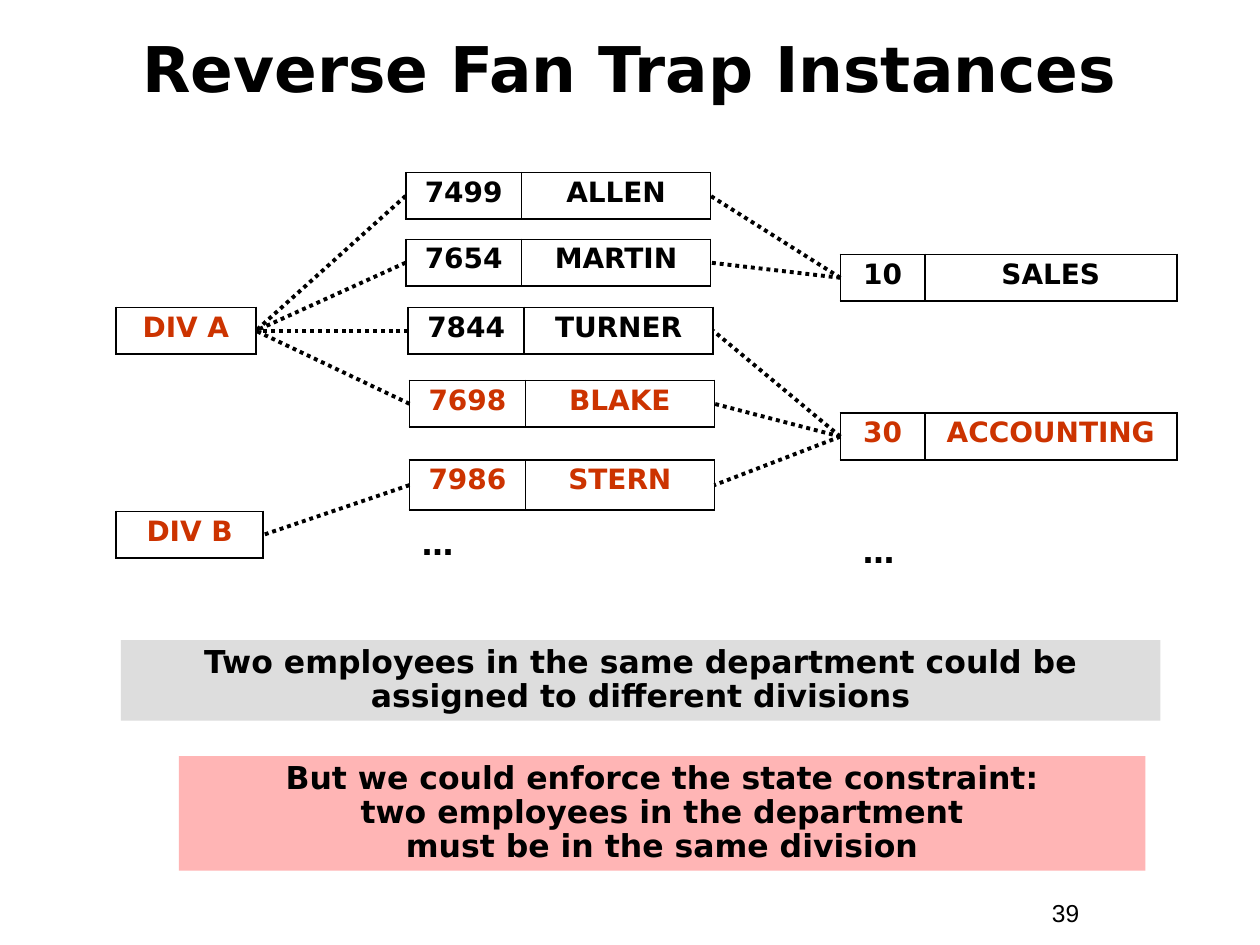
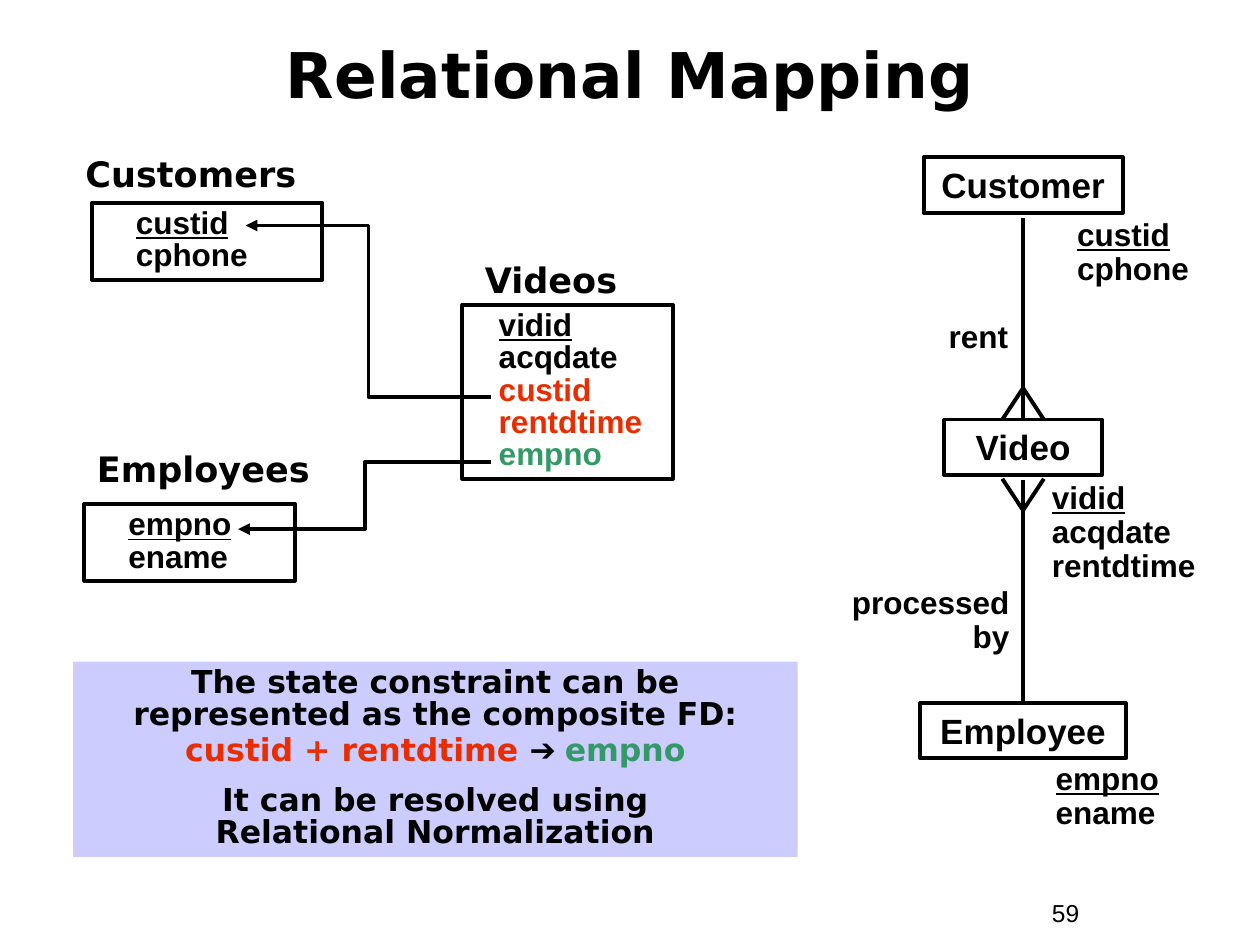
from lxml import etree
from pptx import Presentation
from pptx.dml.color import RGBColor
from pptx.enum import dml, shapes, text
from pptx.oxml.ns import qn
from pptx.util import Inches, Pt

COLORS = {
    "ink": "000000", "brick": "CC3300", "red": "EA2D00", "green": "339966",
    "gray": "DDDDDD", "pink": "FFB5B5", "lilac": "CCCCFF",
}
SANS, ARIAL = "DejaVu Sans", "Arial"
LEFT, CENTER, RIGHT = text.PP_ALIGN.LEFT, text.PP_ALIGN.CENTER, text.PP_ALIGN.RIGHT
LINE = 2.25
ROW_H = 0.37


def rgb(name):
    return RGBColor.from_string(COLORS[name])


def run(string, color="ink", font=None, underline=False):
    return string, color, font, underline


def add_runs(p, runs, size, font, bold):
    for string, color, own_font, underline in runs:
        for i, line in enumerate(string.split("\n")):
            if i:
                p.add_line_break()
            r = p.add_run()
            r.text = line
            r.font.size, r.font.bold = Pt(size), bold
            r.font.name = own_font or font
            r.font.color.rgb = rgb(color)
            r.font.underline = underline


def write(tf, paragraphs, size=18, font=SANS, bold=True, align=LEFT,
          spacing=0.9, gaps=(), indent=0):
    """Fill a frame; gaps holds the space before each paragraph after the first."""
    tf.word_wrap = True
    for i, runs in enumerate(paragraphs):
        p = tf.paragraphs[0] if i == 0 else tf.add_paragraph()
        if indent:
            p._p.get_or_add_pPr().set("marL", str(Inches(indent)))
        p.alignment, p.line_spacing = align, spacing
        if i and gaps:
            p.space_before = Pt(gaps[i - 1])
        add_runs(p, runs, size, font, bold)


def add_label(slide, box, paragraphs, anchor=text.MSO_ANCHOR.TOP, **style):
    sp = slide.shapes.add_textbox(*map(Inches, box))
    sp.text_frame.vertical_anchor = anchor
    write(sp.text_frame, paragraphs, **style)


def add_box(slide, box, paragraphs, fill=None, **style):
    """Filled band when a fill is given, outlined box otherwise."""
    sp = slide.shapes.add_shape(shapes.MSO_SHAPE.RECTANGLE, *map(Inches, box))
    sp.shadow.inherit = False
    if fill:
        sp.fill.solid()
        sp.fill.fore_color.rgb = rgb(fill)
        sp.line.fill.background()
    else:
        sp.fill.background()
        sp.line.color.rgb = rgb("ink")
        sp.line.width = Pt(LINE)
    sp.text_frame.vertical_anchor = text.MSO_ANCHOR.TOP
    write(sp.text_frame, paragraphs, **style)


def add_line(slide, start, end, elbow=False, dotted=False, arrow=False):
    kind = shapes.MSO_CONNECTOR.ELBOW if elbow else shapes.MSO_CONNECTOR.STRAIGHT
    cx = slide.shapes.add_connector(kind, *map(Inches, (*start, *end)))
    cx.line.color.rgb = rgb("ink")
    cx.line.width = Pt(LINE)
    if dotted:
        cx.line.dash_style = dml.MSO_LINE.ROUND_DOT
    if arrow:
        etree.SubElement(cx.line._get_or_add_ln(), qn("a:tailEnd"), type="triangle")
    etree.SubElement(cx._element.spPr, qn("a:effectLst"))


def add_borders(cell):
    tc_pr = cell._tc.get_or_add_tcPr()
    for i, side in enumerate(("lnL", "lnR", "lnT", "lnB")):
        ln = etree.Element(qn(f"a:{side}"), w=str(Pt(1.08)))
        fill = etree.SubElement(ln, qn("a:solidFill"))
        etree.SubElement(fill, qn("a:srgbClr"), val=COLORS["ink"])
        tc_pr.insert(i, ln)


def add_record(slide, x, y, widths, values, color, height=ROW_H):
    """Draw a one-row table and return the middles of its left and right edges."""
    frame = slide.shapes.add_table(1, len(values), *map(Inches, (x, y, sum(widths), height)))
    table = frame.table
    table.first_row = table.horz_banding = False
    table.rows[0].height = Inches(height)
    for i, (width, value) in enumerate(zip(widths, values)):
        table.columns[i].width = Inches(width)
        cell = table.cell(0, i)
        cell.fill.background()
        add_borders(cell)
        write(cell.text_frame, [[run(value, color)]], size=16, align=CENTER)
    middle = y + height / 2
    return (x, middle), (x + sum(widths), middle)


def new_slide(prs, title, title_box, number):
    slide = prs.slides.add_slide(prs.slide_layouts[6])
    add_label(slide, (8.25, 7.08, 0.92, 0.34), [[run(number)]],
              size=14, font=ARIAL, bold=False, spacing=1)
    add_label(slide, title_box, [[run(title)]], anchor=text.MSO_ANCHOR.MIDDLE,
              size=36, align=CENTER, spacing=0.85)
    return slide


def instance_diagram(slide, x, y):
    """Divisions, employees and departments with their dotted links."""
    divisions = {
        name: add_record(slide, x, y + dy, [width], [name], "brick")[1]
        for name, dy, width in (("DIV A", 1.07, 1.11), ("DIV B", 2.69, 1.17))
    }
    departments = {
        number: add_record(slide, x + 5.75, y + dy, [0.67, 2], [number, name], color)[0]
        for number, name, dy, color in (("10", "SALES", 0.65, "ink"),
                                        ("30", "ACCOUNTING", 1.91, "brick"))
    }
    employees = (
        ("7499", "ALLEN", 2.3, 0, ROW_H, "ink", "DIV A", "10"),
        ("7654", "MARTIN", 2.3, 0.53, ROW_H, "ink", "DIV A", "10"),
        ("7844", "TURNER", 2.32, 1.07, ROW_H, "ink", "DIV A", "30"),
        ("7698", "BLAKE", 2.33, 1.65, ROW_H, "brick", "DIV A", "30"),
        ("7986", "STERN", 2.33, 2.28, 0.4, "brick", "DIV B", "30"),
    )
    for number, name, dx, dy, height, color, division, department in employees:
        left, right = add_record(slide, x + dx, y + dy, [0.92, 1.5],
                                 [number, name], color, height)
        add_line(slide, left, divisions[division], dotted=True)
        add_line(slide, departments[department], right, dotted=True)
    for dx, dy in ((2.33, 2.77), (5.83, 2.84)):
        add_label(slide, (x + dx, y + dy, 1.83, 0.37), [[run("…")]])


def fan_trap_slide(prs):
    slide = new_slide(prs, "Reverse Fan Trap Instances", (0.33, 0.17, 9.33, 0.83), "39")
    instance_diagram(slide, 0.92, 1.37)
    add_box(slide, (0.96, 5.08, 8.25, 0.64),
            [[run("Two employees in the same department could be "
                  "assigned to different divisions")]], fill="gray", align=CENTER)
    add_box(slide, (1.42, 6, 7.67, 0.91),
            [[run("But we could enforce the state constraint:\n"
                  "two employees in the department\n"
                  "must be in the same division")]], fill="pink", align=CENTER)


def attributes(names, colors=None):
    """One paragraph per attribute, the first being the underlined key."""
    colors = colors or {}
    return [[run(name, colors.get(name, "ink"), underline=i == 0)]
            for i, name in enumerate(names)]


def relation_schema(slide, x, y):
    """Relations with arrows from foreign keys to the keys they refer to."""
    relations = (
        ("Customers", (0, 0, 2.15), (0.15, 0.45, 1.83, 0.61), 0.25,
         ("custid", "cphone")),
        ("Videos", (3.17, 0.84, 1.4), (3.09, 1.26, 1.67, 1.38), 0.19,
         ("vidid", "acqdate", "custid", "rentdtime", "empno")),
        ("Employees", (0.09, 2.34, 2.15), (0.09, 2.84, 1.67, 0.61), 0.25,
         ("empno", "ename")),
    )
    foreign = {"custid": "red", "rentdtime": "red", "empno": "green"}
    for name, (nx, ny, nw), (bx, by, bw, bh), indent, columns in relations:
        add_label(slide, (x + nx, y + ny, nw, 0.44), [[run(name)]], size=20, spacing=1)
        add_box(slide, (x + bx, y + by, bw, bh),
                attributes(columns, foreign if name == "Videos" else None),
                font=ARIAL, spacing=0.85, indent=indent)
    for start_y, end_x, end_y in ((1.99, 1.37, 0.63), (2.51, 1.31, 3.04)):
        add_line(slide, (x + 3.32, y + start_y), (x + end_x, y + end_y),
                 elbow=True, arrow=True)


def crows_foot(slide, x, apex_y, edge_y):
    for side in (-1, 1):
        add_line(slide, (x, apex_y), (x + side * 0.165, edge_y))


def entity_diagram(slide, axis, y):
    """Entities centred on a vertical axis, joined by crow's foot relationships."""
    entities = (
        ("Customer", 0, 1.58, (0.33, 0.44, 1.17), ("custid", "cphone")),
        ("Video", 2.08, 1.25, (0.13, 2.53, 1.42), ("vidid", "acqdate", "rentdtime")),
        ("Employee", 4.33, 1.63, (0.16, 4.76, 1.17), ("empno", "ename")),
    )
    for name, dy, width, (ax, ay, aw), columns in entities:
        add_box(slide, (axis - width / 2, y + dy, width, 0.44), [[run(name)]],
                size=20, font=ARIAL, align=CENTER, spacing=1)
        add_label(slide, (axis + ax, y + ay, aw, 0.1 + 0.27 * len(columns)),
                  attributes(columns), font=ARIAL)
    for top, bottom in ((0.48, 2.07), (2.56, 4.32)):
        add_line(slide, (axis, y + top), (axis, y + bottom))
    crows_foot(slide, axis, y + 1.83, y + 2.08)
    crows_foot(slide, axis, y + 2.8, y + 2.55)
    add_label(slide, (axis - 0.69, y + 1.25, 1.17, 0.37), [[run("rent")]], font=ARIAL)
    add_label(slide, (axis - 1.59, y + 3.36, 1.58, 0.64), [[run("processed by")]],
              font=ARIAL, align=RIGHT)


def mapping_slide(prs):
    slide = new_slide(prs, "Relational Mapping", (0.75, 0.17, 8.5, 0.92), "59")
    relation_schema(slide, 0.58, 1.16)
    entity_diagram(slide, 8.12, 1.25)
    add_box(slide, (0.58, 5.25, 5.75, 1.55), [
        [run("The state constraint can be represented as the composite FD:")],
        [run("custid + rentdtime ", "red"), run("➔ ", font=ARIAL), run("empno", "green")],
        [run("It can be resolved using\nRelational Normalization")],
    ], fill="lilac", align=CENTER, spacing=0.85, gaps=(2.2, 10))


def main():
    prs = Presentation()
    prs.slide_width, prs.slide_height = Inches(10), Inches(7.5)
    fan_trap_slide(prs)
    mapping_slide(prs)
    prs.save("out.pptx")


if __name__ == "__main__":
    main()
